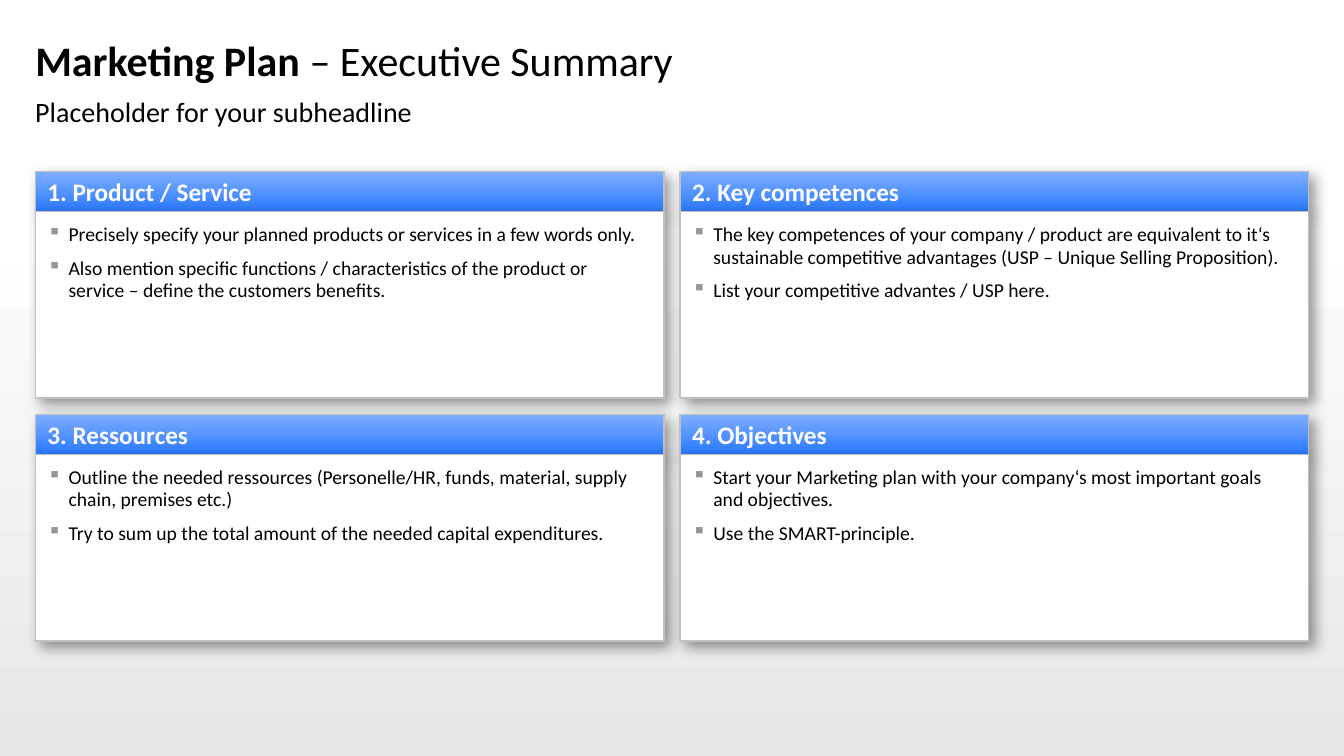
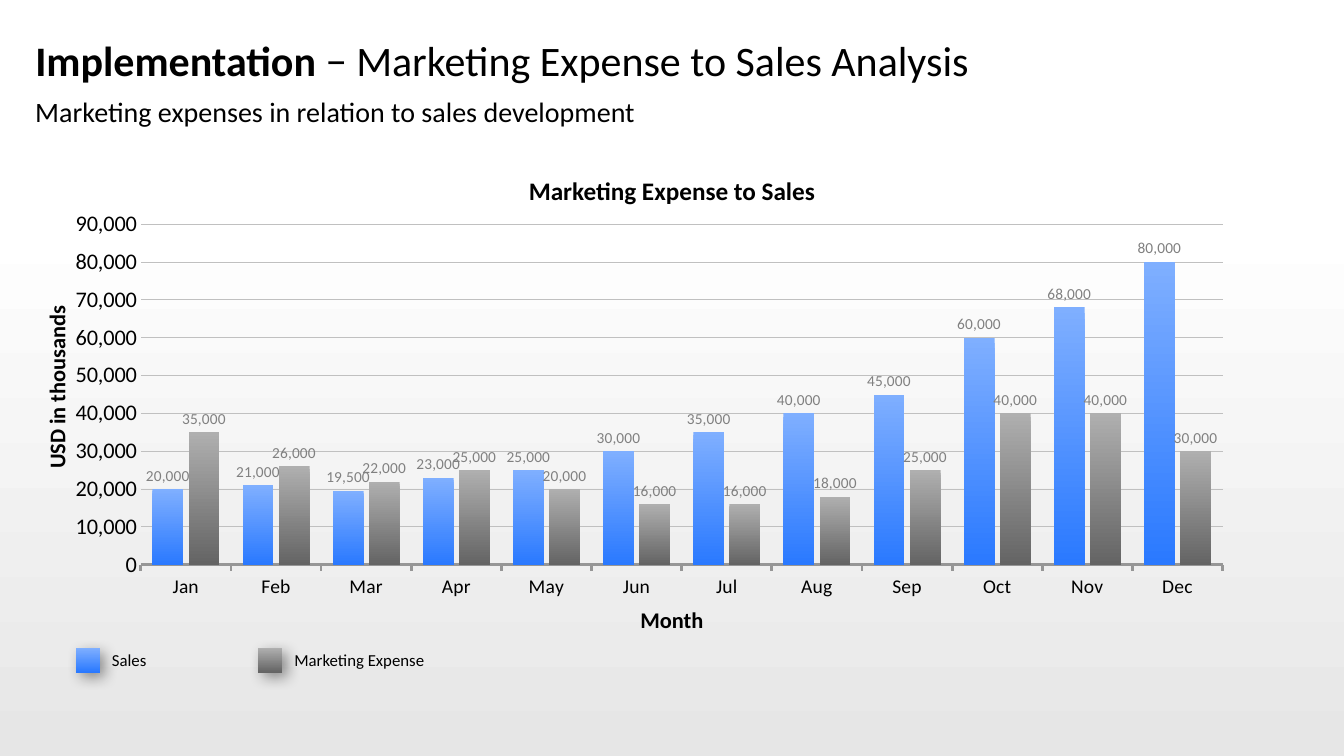
from lxml.etree import SubElement
from pptx import Presentation
from pptx.chart.data import CategoryChartData
from pptx.dml.color import RGBColor
from pptx.enum.chart import XL_CHART_TYPE, XL_LABEL_POSITION, XL_TICK_MARK
from pptx.enum.shapes import MSO_SHAPE
from pptx.enum.text import MSO_ANCHOR, MSO_AUTO_SIZE, PP_ALIGN
from pptx.oxml.ns import qn
from pptx.util import Inches, Pt

BLACK = RGBColor(0x00, 0x00, 0x00)
WHITE = RGBColor(0xFF, 0xFF, 0xFF)
SILVER = RGBColor(0xC0, 0xC0, 0xC0)
GREY = RGBColor(0x96, 0x96, 0x96)
LABEL = RGBColor(0x80, 0x80, 0x80)
MIST = RGBColor(0xE6, 0xE6, 0xE6)
BLUES = (RGBColor(0x7F, 0xAF, 0xFF), RGBColor(0x2A, 0x79, 0xFF))
GREYS = (RGBColor(0xAF, 0xAF, 0xAF), RGBColor(0x64, 0x64, 0x64))

FONT = "Calibri"
WIDE, HIGH = 13.33, 7.5
EDGE, TOP = 0.35, 1.7
FULL = WIDE - 2 * EDGE
GAP = 0.16
COL = (FULL - GAP) / 2
HEAD, BODY = 0.4, 1.85
ROW = HEAD + BODY + GAP
CHART_X, CHART_Y = 0.75, 2.09
CHART_W, CHART_H = 12.23, 3.86
BAND_W = WIDE - 2 * CHART_X
KEY, KEY_STEP = 0.24, 1.81

FLAT = (0, 0, 0, 0)
PAD = (0.12, 0.08, 0.12, 0.08)
BODY_PAD = (0.12, 0.12, 0.2, 0.08)

CARDS = [
    ("1. Product / Service", [
        "Precisely specify your planned products or services in a few words only.",
        "Also mention specific functions / characteristics of the product or "
        "service – define the customers benefits."]),
    ("2. Key competences", [
        "The key competences of your company / product are equivalent to it‘s "
        "sustainable competitive advantages (USP – Unique Selling Proposition).",
        "List your competitive advantes / USP here."]),
    ("3. Ressources", [
        "Outline the needed ressources (Personelle/HR, funds, material, supply "
        "chain, premises etc.)",
        "Try to sum up the total amount of the needed capital expenditures."]),
    ("4. Objectives", [
        "Start your Marketing plan with your company‘s most important goals "
        "and objectives.",
        "Use the SMART-principle."]),
]
MONTHS = "Jan Feb Mar Apr May Jun Jul Aug Sep Oct Nov Dec".split()
SERIES = [
    ("Sales", BLUES, [20000, 21000, 19500, 23000, 25000, 30000,
                      35000, 40000, 45000, 60000, 68000, 80000]),
    ("Marketing Expense", GREYS, [35000, 26000, 22000, 25000, 20000, 16000,
                                  16000, 18000, 25000, 40000, 40000, 30000]),
]


def assign(thing, **values):
    for name, value in values.items():
        setattr(thing, name, value)


def style(font, size, color=BLACK, bold=False):
    assign(font, name=FONT, size=Pt(size), bold=bold)
    font.color.rgb = color


def shade(fill, colors, start=0):
    """Fill from the first colour at the top to the second at the bottom."""
    fill.gradient()
    fill.gradient_angle = 270
    for stop, color, place in zip(fill.gradient_stops, colors, (start, 1)):
        stop.color.rgb = color
        stop.position = place


def place(*sizes):
    return [Inches(size) for size in sizes]


def write(shape, lines, size, pad=FLAT, anchor=MSO_ANCHOR.MIDDLE,
          align=PP_ALIGN.LEFT, color=BLACK, bold=False):
    """Set one paragraph per line; a line is a list of (text, bold) or a string."""
    frame = shape.text_frame
    left, top, right, bottom = place(*pad)
    assign(frame, word_wrap=True, auto_size=MSO_AUTO_SIZE.NONE,
           vertical_anchor=anchor, margin_left=left, margin_top=top,
           margin_right=right, margin_bottom=bottom)
    for index, line in enumerate(lines):
        para = frame.add_paragraph() if index else frame.paragraphs[0]
        para.alignment = align
        for text, heavy in [(line, bold)] if isinstance(line, str) else line:
            run = para.add_run()
            run.text = text
            style(run.font, size, color, heavy)
    return frame.paragraphs


def add_text(slide, spot, text, size, **options):
    box = slide.shapes.add_textbox(*place(*spot))
    write(box, [text], size, **options)
    return box


def add_block(slide, spot, line=None):
    """Add a rectangle with a soft shadow to the lower right."""
    block = slide.shapes.add_shape(MSO_SHAPE.RECTANGLE, *place(*spot))
    if line is None:
        block.line.fill.background()
    else:
        block.line.color.rgb = line
        block.line.width = Pt(1)
    block.shadow.inherit = False
    effects = block.element.spPr.find(qn("a:effectLst"))
    shadow = SubElement(effects, qn("a:outerShdw"), blurRad=str(Pt(10)),
                        dist=str(Pt(5)), dir="2700000", algn="tl",
                        rotWithShape="0")
    tint = SubElement(shadow, qn("a:srgbClr"), val=str(BLACK))
    SubElement(tint, qn("a:alpha"), val="40000")
    return block


def bullet(para):
    props = para._p.get_or_add_pPr()
    indent = Inches(0.21)
    props.set("marL", str(indent))
    props.set("indent", str(-indent))
    tint = SubElement(props, qn("a:buClr"))
    SubElement(tint, qn("a:srgbClr"), val=str(GREY))
    SubElement(props, qn("a:buChar"), char="▪")
    assign(para, line_spacing=0.95, space_after=Pt(8))


def add_card(slide, left, top, title, points):
    head = add_block(slide, (left, top, COL, HEAD), SILVER)
    shade(head.fill, BLUES)
    write(head, [title], 18, pad=PAD, color=WHITE, bold=True)
    body = add_block(slide, (left, top + HEAD, COL, BODY), SILVER)
    body.fill.solid()
    body.fill.fore_color.rgb = WHITE
    for para in write(body, points, 14, pad=BODY_PAD, anchor=MSO_ANCHOR.TOP):
        bullet(para)


def add_slide(deck, strong, rest, sub):
    slide = deck.slides.add_slide(deck.slide_layouts[5])
    title = slide.shapes.title
    left, top, width, height = place(EDGE, 0.26, FULL, 0.67)
    assign(title, left=left, top=top, width=width, height=height)
    write(title, [[(strong, True), (rest, False)]], 30)
    add_text(slide, (EDGE, 0.94, FULL, 0.37), sub, 20, anchor=MSO_ANCHOR.TOP)
    return slide


def set_plot(chart, **shares):
    """Fix the inner plot area as shares of the chart."""
    area = chart.element.find(".//" + qn("c:plotArea"))
    for old in area.findall(qn("c:layout")):
        area.remove(old)
    layout = SubElement(area, qn("c:layout"))
    area.insert(0, layout)
    manual = SubElement(layout, qn("c:manualLayout"))
    values = {"layoutTarget": "inner", "xMode": "edge", "yMode": "edge", **shares}
    for name, value in values.items():
        SubElement(manual, qn("c:" + name), val=str(value))


def add_columns(slide):
    data = CategoryChartData(number_format="#,##0")
    data.categories = MONTHS
    for name, _, values in SERIES:
        data.add_series(name, values)
    spot = place(CHART_X, CHART_Y, CHART_W, CHART_H)
    chart = slide.shapes.add_chart(
        XL_CHART_TYPE.COLUMN_CLUSTERED, *spot, data).chart
    assign(chart, has_title=False, has_legend=False)
    style(chart.font, 18)
    set_plot(chart, x=0.05, y=0.03, w=0.88, h=0.88)

    plot = chart.plots[0]
    assign(plot, gap_width=75, overlap=-17, vary_by_categories=False,
           has_data_labels=True)
    assign(plot.data_labels, show_value=True, number_format="#,##0",
           number_format_is_linked=False, position=XL_LABEL_POSITION.OUTSIDE_END)
    style(plot.data_labels.font, 11, LABEL)
    for series, (_, colors, _) in zip(plot.series, SERIES):
        shade(series.format.fill, colors)

    months, amounts = chart.category_axis, chart.value_axis
    assign(months, major_tick_mark=XL_TICK_MARK.OUTSIDE,
           minor_tick_mark=XL_TICK_MARK.NONE)
    style(months.tick_labels.font, 14)
    assign(amounts, minimum_scale=0, maximum_scale=90000, major_unit=10000,
           major_tick_mark=XL_TICK_MARK.NONE, minor_tick_mark=XL_TICK_MARK.NONE,
           has_major_gridlines=True)
    assign(amounts.tick_labels, number_format="#,##0",
           number_format_is_linked=False)
    style(amounts.tick_labels.font, 16)
    amounts.format.line.fill.background()
    for line, color, width in ((months.format.line, GREY, 2),
                               (amounts.major_gridlines.format.line, SILVER, 0.75)):
        line.color.rgb = color
        line.width = Pt(width)


def add_key(slide, left, name, colors):
    swatch = add_block(slide, (left, 6.43, KEY, KEY))
    shade(swatch.fill, colors)
    add_text(slide, (left + KEY, 6.35, KEY_STEP - KEY, 0.39), name, 12, pad=PAD)


def add_summary(deck):
    slide = add_slide(deck, "Marketing Plan", " – Executive Summary",
                      "Placeholder for your subheadline")
    for index, (title, points) in enumerate(CARDS):
        row, col = divmod(index, 2)
        add_card(slide, EDGE + col * (COL + GAP), TOP + row * ROW, title, points)


def add_sales(deck):
    slide = add_slide(deck, "Implementation ",
                      "− Marketing Expense to Sales Analysis",
                      "Marketing expenses in relation to sales development")
    mid = {"align": PP_ALIGN.CENTER, "bold": True}
    add_text(slide, (CHART_X, TOP, BAND_W, 0.38),
             "Marketing Expense to Sales", 18, **mid)
    side = add_text(slide, (-1.19, 3.65, 3.5, 0.38), "USD in thousands", 16, **mid)
    side.rotation = 270
    add_text(slide, (CHART_X, CHART_Y + CHART_H, BAND_W, 0.39), "Month", 16, **mid)
    for index, (name, colors, _) in enumerate(SERIES):
        add_key(slide, CHART_X + index * KEY_STEP, name, colors)
    add_columns(slide)


def main():
    deck = Presentation()
    assign(deck, slide_width=Inches(WIDE), slide_height=Inches(HIGH))
    shade(deck.slide_master.background.fill, (WHITE, MIST), start=0.29)
    add_summary(deck)
    add_sales(deck)
    deck.save("out.pptx")


if __name__ == "__main__":
    main()
